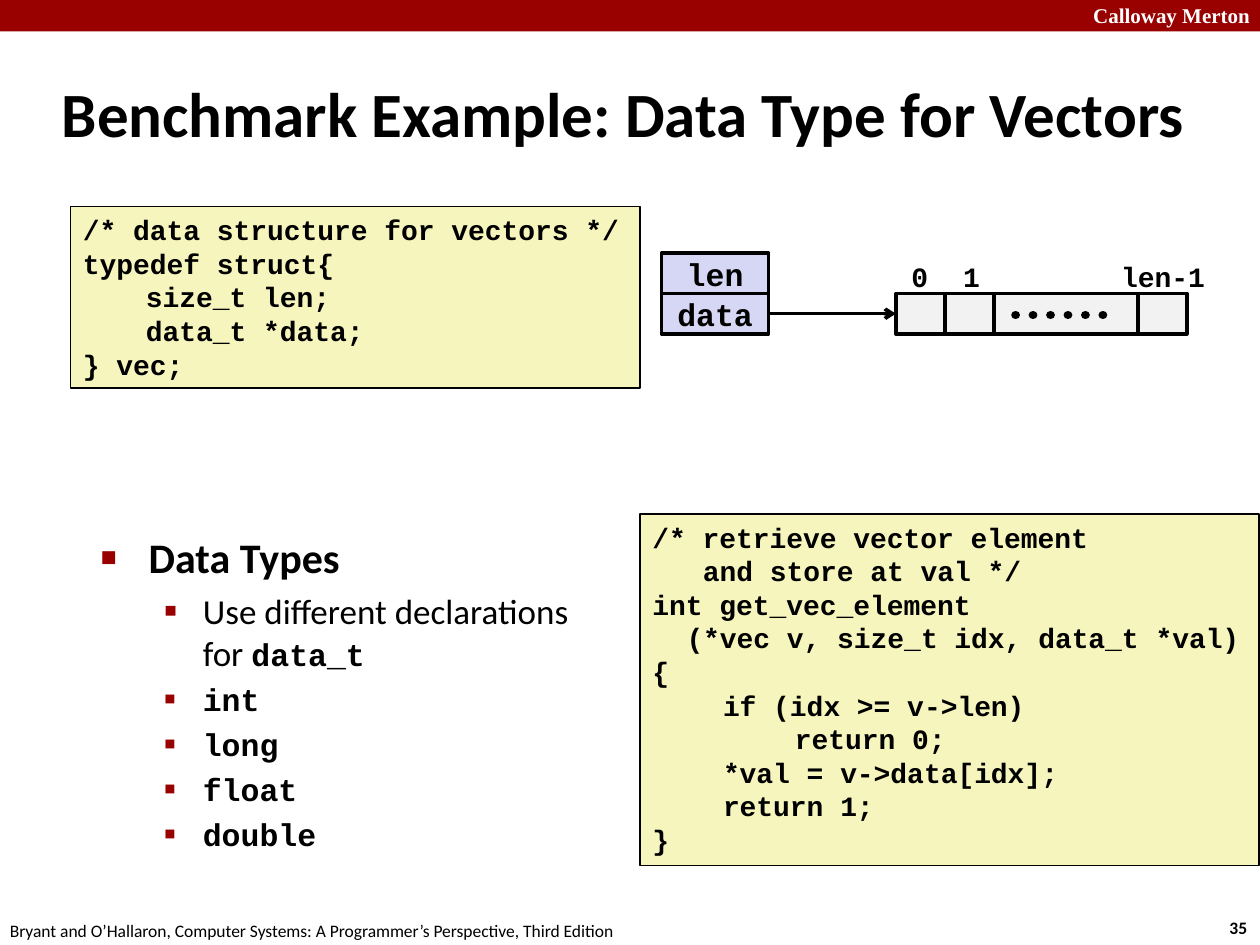
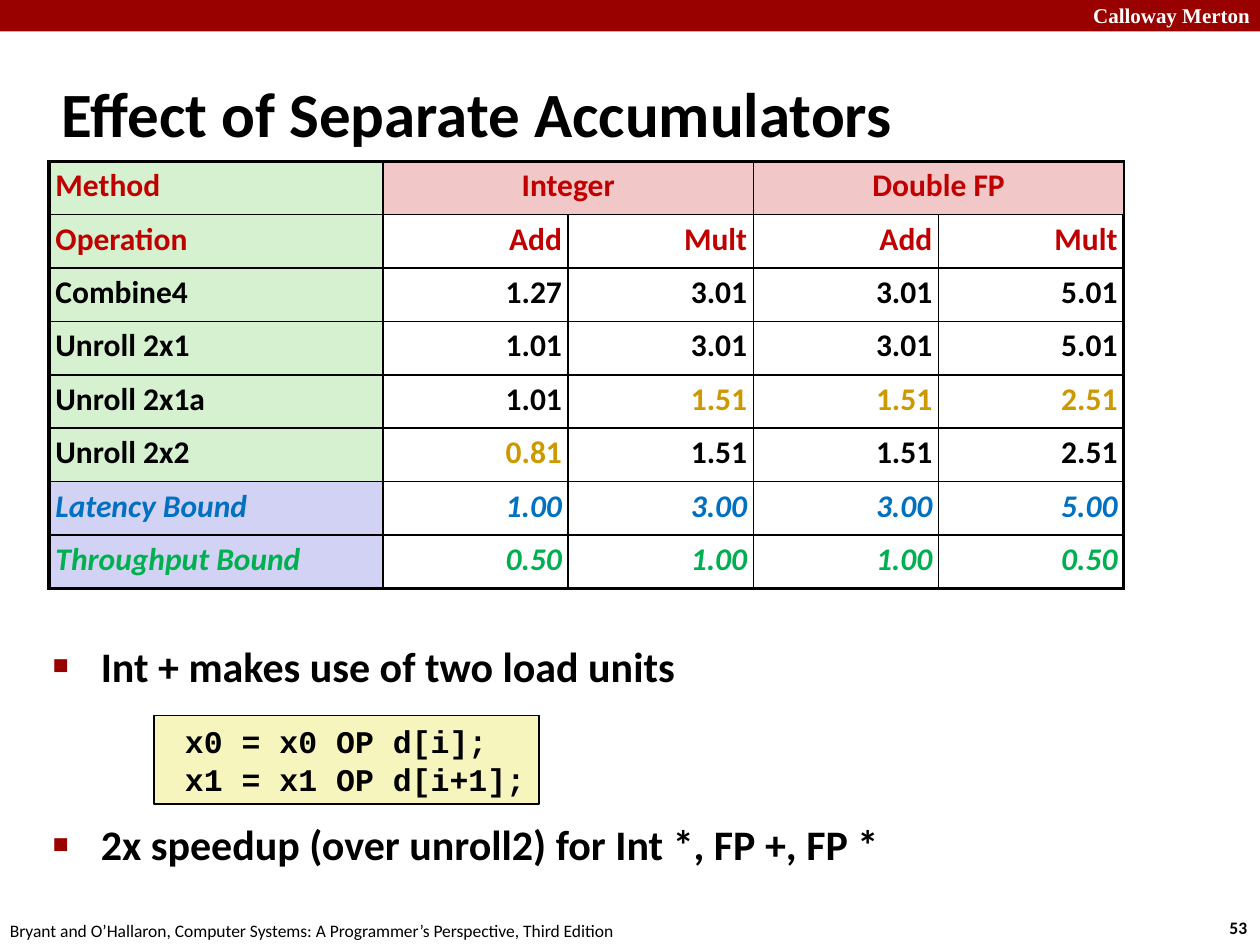
"""Build two lecture slides on vector data types and separate accumulators."""
from lxml import etree
from pptx import Presentation
from pptx import util as u
from pptx.dml.color import RGBColor
from pptx.enum import dml, shapes, text
from pptx.oxml import ns

BLACK = RGBColor(0, 0, 0)
WHITE = RGBColor(0xFF, 0xFF, 0xFF)
CRIMSON = RGBColor(0x99, 0, 0)
CODE_YELLOW = RGBColor(0xF6, 0xF5, 0xBD)
FIELD_LILAC = RGBColor(0xD6, 0xD6, 0xF5)
ELEMENT_GRAY = RGBColor(0xF2, 0xF2, 0xF2)
HEAD_RED = RGBColor(0xC0, 0, 0)
GROUP_PINK = RGBColor(0xF1, 0xC7, 0xC7)
METHOD_GREEN = RGBColor(0xD5, 0xF1, 0xCF)
BOUND_LILAC = RGBColor(0xD2, 0xD2, 0xF4)
GOLD = RGBColor(0xCC, 0x99, 0)
LATENCY_BLUE = RGBColor(0, 0x70, 0xC0)
THROUGHPUT_GREEN = RGBColor(0, 0xB0, 0x50)

SANS, MONO, SERIF = "Calibri", "Courier New", "Times New Roman"
CODE = {"name": MONO, "size": u.Pt(16), "bold": True}
CODE_LARGE = {**CODE, "size": u.Pt(18)}
TITLE = {"name": SANS, "size": u.Pt(36), "bold": True}
POINT = {"name": SANS, "size": u.Pt(24), "bold": True}
DETAIL = {"name": SANS, "size": u.Pt(20), "bold": False}
CELL = {"name": SANS, "size": u.Pt(18), "bold": True}
SMALL = {"name": SANS, "size": u.Pt(10), "bold": False}
LEFT, CENTER, RIGHT = (text.PP_ALIGN.LEFT, text.PP_ALIGN.CENTER,
                       text.PP_ALIGN.RIGHT)

BULLETS = [
    {"char": "■", "percent": 40, "margin": 0.38, "hang": 0.38},
    {"char": "▪", "percent": 110, "margin": 0.81, "hang": 0.31},
]

STRUCT_CODE = [
    (0, "/* data structure for vectors */"),
    (0, "typedef struct{"),
    (0.5, "size_t len;"),
    (0.5, "data_t *data;"),
    (0, "} vec;"),
]
GETTER_CODE = [
    (0, "/* retrieve vector element"),
    (0.4, "and store at val */"),
    (0, "int get_vec_element"),
    (0.27, "(*vec v, size_t idx, data_t *val)"),
    (0, "{"),
    (0.56, "if (idx >= v->len)"),
    (1.13, "return 0;"),
    (0.56, "*val = v->data[idx];"),
    (0.56, "return 1;"),
    (0, "}"),
]
LOOP_CODE = [(0.15, "x0 = x0 OP d[i];"), (0.15, "x1 = x1 OP d[i+1];")]

RESULTS = [
    ("Method", "Integer", "", "Double FP", ""),
    ("Operation", "Add", "Mult", "Add", "Mult"),
    ("Combine4", "1.27", "3.01", "3.01", "5.01"),
    ("Unroll 2x1", "1.01", "3.01", "3.01", "5.01"),
    ("Unroll 2x1a", "1.01", "1.51", "1.51", "2.51"),
    ("Unroll 2x2", "0.81", "1.51", "1.51", "2.51"),
    ("Latency Bound", "1.00", "3.00", "3.00", "5.00"),
    ("Throughput Bound", "0.50", "1.00", "1.00", "0.50"),
]
ROW_COLORS = [HEAD_RED] * 2 + [BLACK] * 4 + [LATENCY_BLUE, THROUGHPUT_GREEN]
IMPROVED = {(4, 2), (4, 3), (4, 4), (5, 1)}
FIRST_BOUND_ROW = 6


def set_values(target, values):
    """Set each attribute named in values."""
    for name, value in values.items():
        setattr(target, name, value)


def inches(*lengths):
    """Convert numbers to lengths."""
    return [u.Inches(length) for length in lengths]


def add_xml(parent, tag, **attributes):
    """Append a drawing element and return it."""
    return etree.SubElement(parent, ns.qn(tag), attributes)


def add_span(para, words, font, color=BLACK):
    """Add formatted words to a paragraph."""
    span = para.add_run()
    span.text = words
    set_values(span.font, font)
    span.font.color.rgb = color


def add_label(page, at, words, font, color=BLACK, align=LEFT):
    """Add a one-line text box."""
    box = page.shapes.add_textbox(*inches(*at))
    box.text_frame.word_wrap = False
    para = box.text_frame.paragraphs[0]
    para.alignment = align
    add_span(para, words, font, color)


def add_box(page, at, fill, line_width=None):
    """Add a plain rectangle, outlined in black if a width is given."""
    box = page.shapes.add_shape(shapes.MSO_SHAPE.RECTANGLE, *inches(*at))
    box.shadow.inherit = False
    box.fill.solid()
    box.fill.fore_color.rgb = fill
    if line_width:
        box.line.color.rgb = BLACK
        box.line.width = u.Pt(line_width)
    else:
        box.line.fill.background()
    return box


def add_field(page, at, words):
    """Add a struct field with its name centred."""
    frame = add_box(page, at, FIELD_LILAC, 2).text_frame
    set_values(frame, {"word_wrap": False,
                       "vertical_anchor": text.MSO_ANCHOR.MIDDLE})
    frame.paragraphs[0].alignment = CENTER
    add_span(frame.paragraphs[0], words, CODE_LARGE)


def add_code(page, at, lines, font=CODE):
    """Add a listing whose lines are (indent, code) pairs."""
    frame = add_box(page, at, CODE_YELLOW, 1).text_frame
    set_values(frame, {"word_wrap": True, "margin_right": 0,
                       "vertical_anchor": text.MSO_ANCHOR.TOP})
    for number, (indent, code) in enumerate(lines):
        para = frame.add_paragraph() if number else frame.paragraphs[0]
        para.alignment = LEFT
        para._p.get_or_add_pPr().set("marL", str(u.Inches(indent)))
        add_span(para, code, font)


def add_line(page, start, end, width):
    """Add a black straight line and return it."""
    line = page.shapes.add_connector(
        shapes.MSO_CONNECTOR.STRAIGHT, *inches(*start, *end))
    line.line.color.rgb = BLACK
    line.line.width = u.Pt(width)
    add_xml(line._element.spPr, "a:effectLst")
    return line


def place(holder, at):
    """Move a placeholder and switch off text shrinking."""
    set_values(holder, dict(zip(("left", "top", "width", "height"),
                                inches(*at))))
    holder.text_frame.auto_size = text.MSO_AUTO_SIZE.NONE
    holder.text_frame.word_wrap = True


def add_page(deck, title, title_width, number):
    """Add a slide with the shared band, footer and title."""
    page = deck.slides.add_slide(deck.slide_layouts[1])
    add_box(page, (0, 0, 10, 0.25), CRIMSON)
    add_label(page, (8.02, -0.03, 2, 0.3), "Calloway Merton",
              {"name": SERIF, "size": u.Pt(12), "bold": True}, WHITE, RIGHT)
    add_label(page, (9.66, 7.23, 0.37, 0.27), number, {**SMALL, "bold": True})
    add_label(page, (-0.02, 7.25, 5.08, 0.27),
              "Bryant and O’Hallaron, Computer Systems: "
              "A Programmer’s Perspective, Third Edition", SMALL)
    holder = page.shapes.title
    place(holder, (0.39, 0.48, title_width, 0.83))
    holder.text_frame.vertical_anchor = text.MSO_ANCHOR.MIDDLE
    para = holder.text_frame.paragraphs[0]
    para.alignment = LEFT
    add_span(para, title, TITLE)
    return page


def fill_list(page, at, items):
    """Fill the body with (level, space before, spans) items."""
    holder = page.placeholders[1]
    place(holder, at)
    frame = holder.text_frame
    for number, (level, space, spans) in enumerate(items):
        para = frame.add_paragraph() if number else frame.paragraphs[0]
        set_values(para, {"level": level, "space_before": u.Pt(space)})
        bullet = BULLETS[level]
        props = para._p.get_or_add_pPr()
        props.set("marL", str(u.Inches(bullet["margin"])))
        props.set("indent", str(u.Inches(-bullet["hang"])))
        add_xml(add_xml(props, "a:buClr"), "a:srgbClr", val=str(CRIMSON))
        add_xml(props, "a:buSzPct", val=str(bullet["percent"] * 1000))
        add_xml(props, "a:buFont", typeface=SANS)
        add_xml(props, "a:buChar", char=bullet["char"])
        for words, font in spans:
            add_span(para, words, font)


def set_borders(cell, widths):
    """Give a cell black borders from a dict of side and width."""
    props = cell._tc.get_or_add_tcPr()
    for side, width in widths.items():
        line = add_xml(props, "a:ln" + side, w=str(u.Pt(width)))
        add_xml(add_xml(line, "a:solidFill"), "a:srgbClr", val=str(BLACK))


def cell_fill(row, column):
    """Return the fill colour of a results cell, or None."""
    if column == 0:
        return BOUND_LILAC if row >= FIRST_BOUND_ROW else METHOD_GREEN
    return GROUP_PINK if row == 0 else None


def add_results(page):
    """Add the table of cycles per element."""
    rows, columns = len(RESULTS), len(RESULTS[0])
    frame = page.shapes.add_table(
        rows, columns, *inches(0.39, 1.28, 8.53, 3.39))
    table = frame.table
    set_values(table, {"first_row": False, "horz_banding": False})
    for column in range(columns):
        table.columns[column].width = u.Inches(1.47 if column else 2.65)
    for row, values in enumerate(RESULTS):
        table.rows[row].height = u.Inches(3.39 / rows)
        for column, value in enumerate(values):
            cell = table.cell(row, column)
            set_values(cell, dict.fromkeys(
                ("margin_left", "margin_right", "margin_top",
                 "margin_bottom"), u.Inches(0.05)))
            set_borders(cell, {
                "L": 1 if column else 2.25,
                "R": 2.25 if column == columns - 1 else 1,
                "T": 1 if row else 2.25,
                "B": 2.25 if row == rows - 1 else 1})
            fill = cell_fill(row, column)
            if fill:
                cell.fill.solid()
                cell.fill.fore_color.rgb = fill
            else:
                cell.fill.background()
            if value:
                para = cell.text_frame.paragraphs[0]
                para.line_spacing = 0.95
                para.alignment = (LEFT if column == 0 else
                                  RIGHT if row else CENTER)
                color = GOLD if (row, column) in IMPROVED else ROW_COLORS[row]
                add_span(para, value,
                         {**CELL, "italic": row >= FIRST_BOUND_ROW}, color)
    for column in (1, 3):
        table.cell(0, column).merge(table.cell(0, column + 1))


def add_vector(page):
    """Draw the struct, its pointer and the element array."""
    for row, name in enumerate(("len", "data")):
        add_field(page, (5.25, 2.01 + 0.32 * row, 0.85, 0.32), name)
    left = 7.11
    for width in (0.39, 0.39, 1.14, 0.39):
        add_box(page, (left, 2.33, width, 0.32), ELEMENT_GRAY, 2)
        left += width
    for left, width, index in ((7.13, 0.34, "0"), (7.54, 0.34, "1"),
                               (8.79, 0.88, "len-1")):
        add_label(page, (left, 2.01, width, 0.37), index, CODE, align=CENTER)
    pointer = add_line(page, (6.1, 2.49), (7.11, 2.49), 2)
    add_xml(pointer.line._get_or_add_ln(), "a:tailEnd", type="arrow")
    dots = add_line(page, (8.06, 2.5), (8.86, 2.5), 5)
    dots.line.dash_style = dml.MSO_LINE.ROUND_DOT
    dots.line._get_or_add_ln().set("cap", "rnd")


def main():
    """Build and save the deck."""
    deck = Presentation()
    set_values(deck, {"slide_width": u.Inches(10),
                      "slide_height": u.Inches(7.5)})

    page = add_page(deck, "Benchmark Example: Data Type for Vectors", 9.44, "35")
    add_code(page, (0.56, 1.64, 4.52, 1.44), STRUCT_CODE)
    add_code(page, (5.08, 4.08, 4.91, 2.79), GETTER_CODE)
    add_vector(page)
    types = [(1, 4, [(name, CODE_LARGE)])
             for name in ("int", "long", "float", "double")]
    fill_list(page, (0.7, 4.17, 4.23, 2.43), [
        (0, 5, [("Data Types", POINT)]),
        (1, 4, [("Use different declarations for ", DETAIL),
                ("data_t", CODE_LARGE)]),
        *types])

    page = add_page(deck, "Effect of Separate Accumulators", 8.3, "53")
    fill_list(page, (0.32, 5.03, 9.09, 2.05), [
        (0, 5, [("Int + makes use of two load units", POINT)]),
        (0, 73, [("2x speedup (over unroll2) for Int *, FP +, FP *", POINT)])])
    add_code(page, (1.22, 5.68, 3.06, 0.7), LOOP_CODE, CODE_LARGE)
    add_results(page)

    deck.save("out.pptx")


if __name__ == "__main__":
    main()
